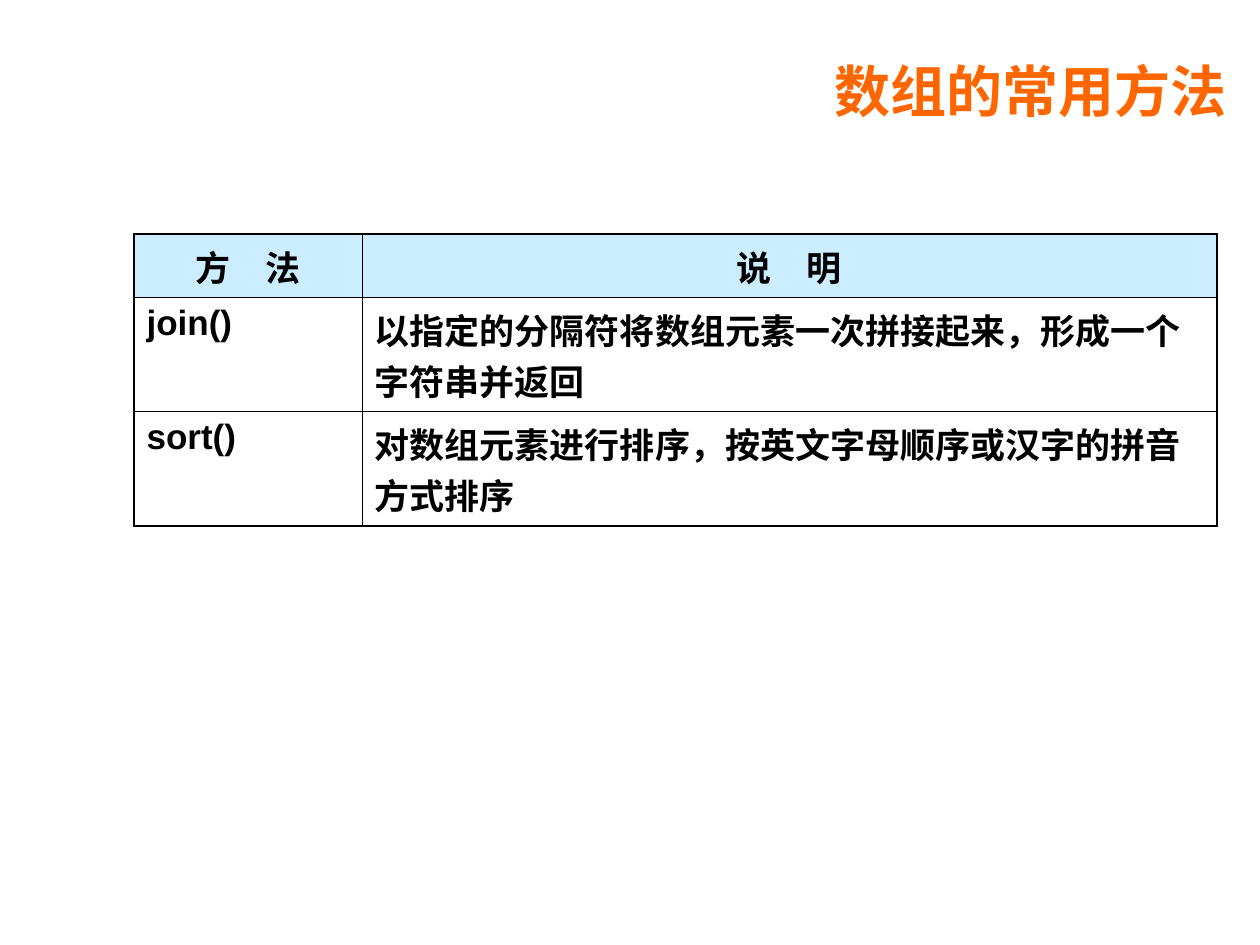
import lxml.etree
import pptx
import pptx.dml.color
import pptx.enum.text
import pptx.oxml.ns
import pptx.util

PX = 914400 // 126
ALIGN = pptx.enum.text.PP_ALIGN
CJK = "Noto Sans CJK SC"


def color(value):
    return pptx.dml.color.RGBColor.from_string(value)


def element(parent, tag, **attributes):
    return lxml.etree.SubElement(parent, pptx.oxml.ns.qn(tag), attributes)


class SlideBuilder:
    ink = "000000"
    accent = "FF6600"
    header_fill = "CCECFF"
    outer_line = 1.08
    inner_line = 0.45

    def __init__(self, page):
        self.page = page

    def text(self, frame, words, size, font, fill, align):
        para = frame.paragraphs[0]
        para.alignment = align
        para.space_before = pptx.util.Pt(0)
        span = para.add_run()
        span.text = words
        span.font.size = pptx.util.Pt(size)
        span.font.bold = True
        span.font.color.rgb = color(fill)
        span.font.name = font
        element(span.font._element, "a:ea", typeface=CJK)

    def title(self, words, left, top, width, height):
        box = self.page.shapes.title
        box.left, box.top, box.width, box.height = (
            n * PX for n in (left, top, width, height)
        )
        frame = box.text_frame
        frame.word_wrap = True
        frame.vertical_anchor = pptx.enum.text.MSO_ANCHOR.MIDDLE
        self.text(frame, words, 32, CJK, self.accent, ALIGN.RIGHT)

    def border(self, cell, side, width):
        properties = cell._tc.get_or_add_tcPr()
        line = element(properties, f"a:ln{side}", w=str(pptx.util.Pt(width)))
        fill = element(line, "a:solidFill")
        element(fill, "a:srgbClr", val=self.ink)

    def table(self, rows, left, top, widths, heights):
        table = self.page.shapes.add_table(
            len(rows), len(widths), left * PX, top * PX,
            sum(widths) * PX, sum(heights) * PX,
        ).table
        table.first_row = table.horz_banding = False
        for column, width in zip(table.columns, widths):
            column.width = width * PX
        for row, height in zip(table.rows, heights):
            row.height = height * PX
        for i, entries in enumerate(rows):
            for j, words in enumerate(entries):
                cell = table.cell(i, j)
                edges = {
                    "L": j == 0,
                    "R": j == len(widths) - 1,
                    "T": i == 0,
                    "B": i == len(rows) - 1,
                }
                for side, outer in edges.items():
                    self.border(cell, side, self.outer_line if outer else self.inner_line)
                if i == 0:
                    cell.fill.solid()
                    cell.fill.fore_color.rgb = color(self.header_fill)
                else:
                    cell.fill.background()
                align = ALIGN.CENTER if i == 0 else ALIGN.LEFT
                self.text(cell.text_frame, words, 20, "Arial", self.ink, align)


def main():
    deck = pptx.Presentation()
    deck.slide_width = pptx.util.Inches(10)
    deck.slide_height = pptx.util.Inches(7.5)
    builder = SlideBuilder(deck.slides.add_slide(deck.slide_layouts[5]))
    builder.title("数组的常用方法", 382, 45, 858, 90)
    methods = [
        ("方　法", "说　明"),
        ("join()", "以指定的分隔符将数组元素一次拼接起来，形成一个字符串并返回"),
        ("sort()", "对数组元素进行排序，按英文字母顺序或汉字的拼音方式排序"),
    ]
    builder.table(methods, 134, 234, [228, 855], [56, 97, 97])
    deck.save("out.pptx")


if __name__ == "__main__":
    main()
